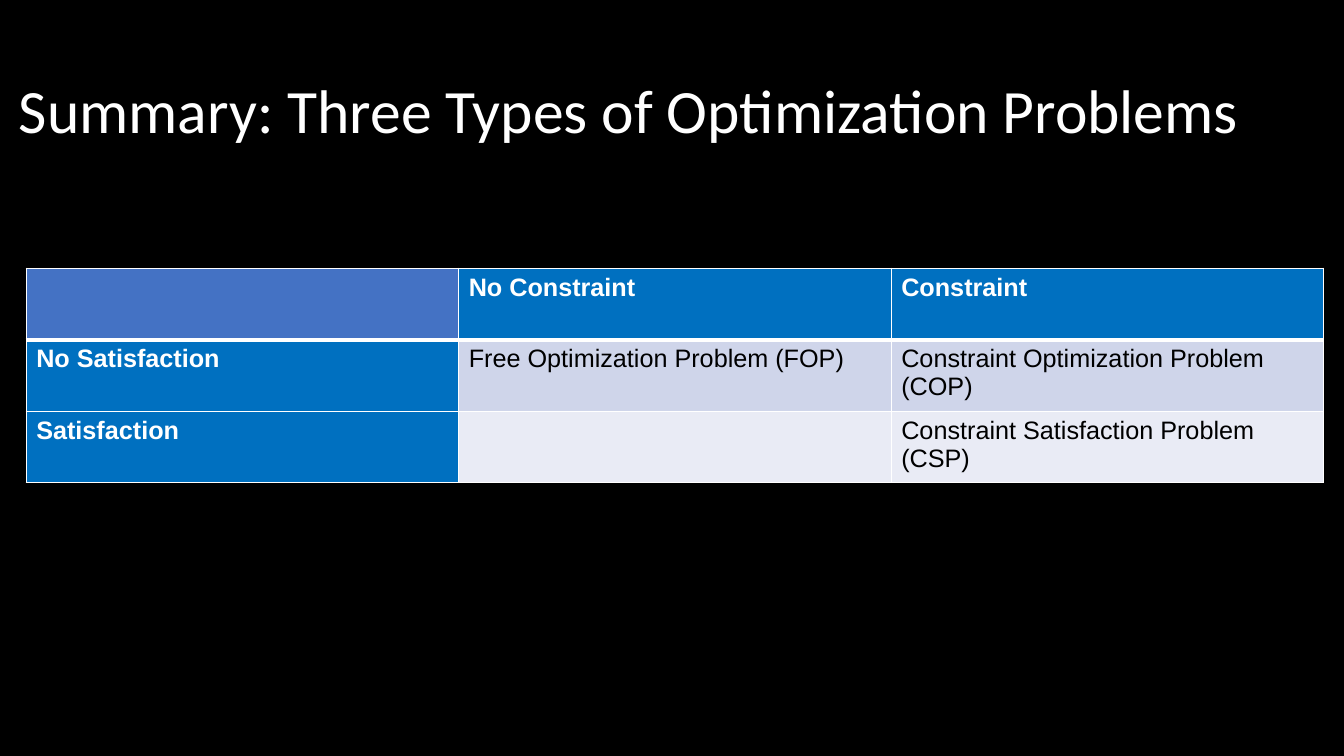
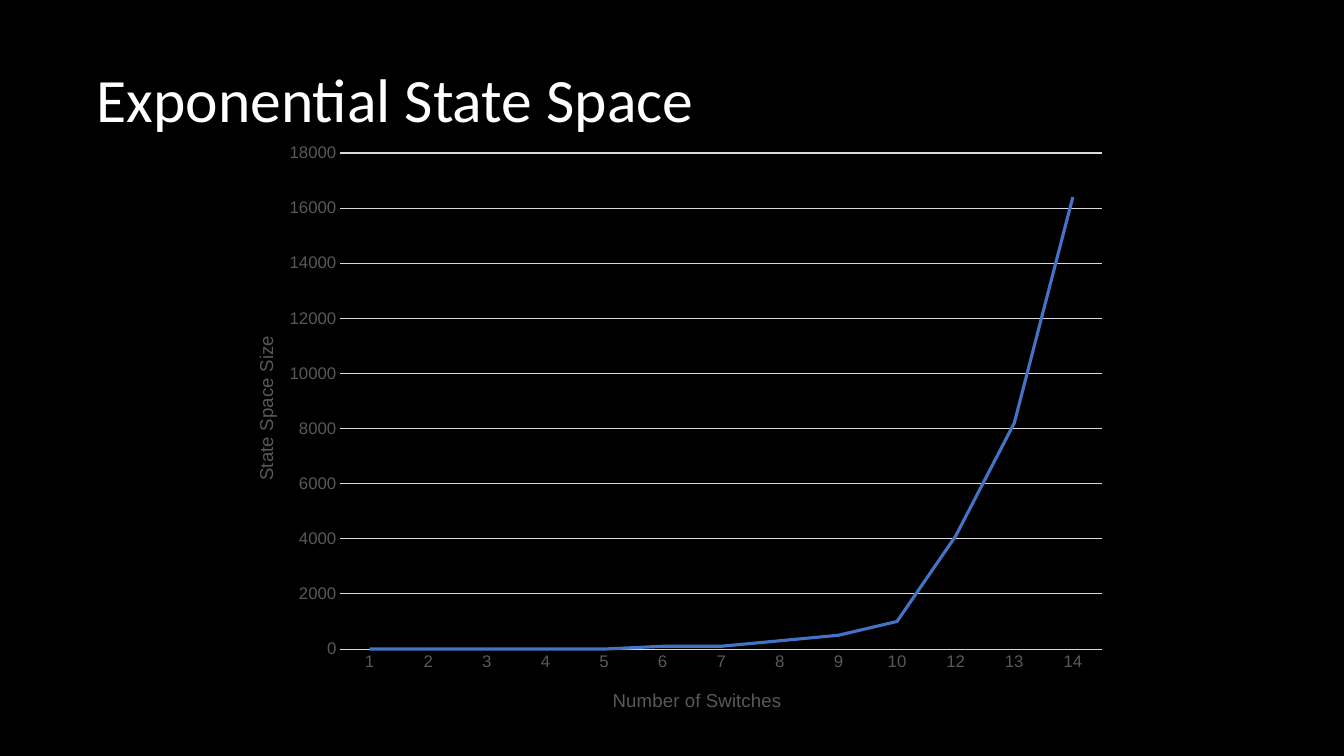
from lxml import etree
from pptx import Presentation
from pptx.chart.data import CategoryChartData
from pptx.dml.color import RGBColor
from pptx.enum.chart import XL_CHART_TYPE, XL_MARKER_STYLE, XL_TICK_MARK
from pptx.enum.text import MSO_ANCHOR
from pptx.oxml import parse_xml
from pptx.oxml.ns import nsdecls, qn
from pptx.util import Inches, Pt

LINE = XL_CHART_TYPE.LINE
NO_MARKER = XL_MARKER_STYLE.NONE
NO_TICK = XL_TICK_MARK.NONE
MIDDLE = MSO_ANCHOR.MIDDLE

COLORS = {
    "black": "000000",
    "white": "FFFFFF",
    "accent": "4472C4",
    "header": "0070C0",
    "band_dark": "CFD5EA",
    "band_light": "E9EBF5",
    "grid": "D9D9D9",
    "label": "595959",
}
TITLE_FONT, BODY_FONT = "Calibri", "Arial"

TABLE_ROWS = [
    ["", "No Constraint", "Constraint"],
    ["No Satisfaction", "Free Optimization Problem (FOP)",
     "Constraint Optimization Problem (COP)"],
    ["Satisfaction", "", "Constraint Satisfaction Problem (CSP)"],
]
SWITCHES = ["1", "2", "3", "4", "5", "6", "7", "8", "9", "10", "12", "13", "14"]
STATES = [0, 0, 0, 0, 0, 100, 100, 300, 500, 1000, 4100, 8200, 16400]


def rgb(name):
    return RGBColor.from_string(COLORS[name])


def set_font(font, size, color, name=BODY_FONT, bold=False):
    font.size, font.name, font.bold = Pt(size), name, bold
    font.color.rgb = rgb(color)


def set_line(line, color, width):
    line.color.rgb = rgb(color)
    line.width = Pt(width)


def add_titled_slide(prs, text, left, top, width):
    s = prs.slides.add_slide(prs.slide_layouts[6])
    box = s.shapes.add_textbox(Inches(left), Inches(top), Inches(width), Inches(1.45))
    tf = box.text_frame
    tf.word_wrap = True
    tf.vertical_anchor = MIDDLE
    p = tf.paragraphs[0]
    p.text = text
    p.line_spacing = 0.9
    set_font(p.font, 44, "white", TITLE_FONT)
    return s


# Table
def set_borders(cell, widths):
    """Draw white borders; widths are points for left, right, top, bottom."""
    tc_pr = cell._tc.get_or_add_tcPr()
    for i, (side, width) in enumerate(zip("LRTB", widths)):
        tc_pr.insert(i, parse_xml(
            f'<a:ln{side} {nsdecls("a")} w="{Pt(width)}"><a:solidFill>'
            f'<a:srgbClr val="{COLORS["white"]}"/></a:solidFill></a:ln{side}>'))


def cell_fill(row, col):
    if row == col == 0:
        return "accent"
    if row == 0 or col == 0:
        return "header"
    return "band_dark" if row % 2 else "band_light"


def add_matrix(s, rows, left, top, col_width, row_height):
    n_rows, n_cols = len(rows), len(rows[0])
    table = s.shapes.add_table(
        n_rows, n_cols, Inches(left), Inches(top),
        Inches(col_width * n_cols), Inches(row_height * n_rows)).table
    for r, texts in enumerate(rows):
        for c, text in enumerate(texts):
            cell = table.cell(r, c)
            heading = r == 0 or c == 0
            cell.fill.solid()
            cell.fill.fore_color.rgb = rgb(cell_fill(r, c))
            set_borders(cell, (1, 1, 3 if r == 1 else 1, 3 if r == 0 else 1))
            p = cell.text_frame.paragraphs[0]
            p.text = text
            set_font(p.font, 18, "white" if heading else "black", bold=heading)


# Chart
def place(element, index, **fractions):
    """Give a chart part a fixed place, in fractions of the chart."""
    for old in element.findall(qn("c:layout")):
        element.remove(old)
    layout = parse_xml(f'<c:layout {nsdecls("c")}><c:manualLayout/></c:layout>')
    settings = {"xMode": "edge", "yMode": "edge", **fractions}
    if "w" in fractions:
        settings = {"layoutTarget": "inner", **settings}
    for tag, value in settings.items():
        etree.SubElement(layout[0], qn(f"c:{tag}")).set("val", str(value))
    element.insert(index, layout)


def style_axis(axis, title, x, y, rotation):
    axis.major_tick_mark = axis.minor_tick_mark = NO_TICK
    set_font(axis.tick_labels.font, 12, "label")
    tf = axis.axis_title.text_frame
    p = tf.paragraphs[0]
    p.text = title
    set_font(p.font, 13.3, "label")
    element = axis.axis_title._element
    next(element.iter(qn("a:bodyPr"))).set("rot", str(rotation * 60000))
    place(element, 1, x=x, y=y)


def add_growth_chart(s, categories, values, left, top, width, height):
    data = CategoryChartData()
    data.categories = categories
    data.add_series("Series 1", values)
    chart = s.shapes.add_chart(LINE, Inches(left), Inches(top),
                               Inches(width), Inches(height), data).chart
    chart.has_legend = chart.has_title = False
    set_font(chart.font, 10, "black")

    plot = chart.plots[0]
    plot.vary_by_categories = False
    series = plot.series[0]
    series.smooth = False
    series.marker.style = NO_MARKER
    set_line(series.format.line, "accent", 2.25)

    style_axis(chart.category_axis, "Number of Switches", 0.43, 0.92, 0)
    set_line(chart.category_axis.format.line, "grid", 0.75)

    value_axis = chart.value_axis
    style_axis(value_axis, "State Space Size", 0.03, 0.33, -90)
    value_axis.minimum_scale, value_axis.maximum_scale = 0, 18000
    value_axis.major_unit = 2000
    value_axis.format.line.fill.background()
    set_line(value_axis.major_gridlines.format.line, "grid", 0.75)

    plot_area = next(chart._chartSpace.iter(qn("c:plotArea")))
    place(plot_area, 0, x=0.13, y=0.03, w=0.85, h=0.83)


def main():
    prs = Presentation()
    prs.slide_width, prs.slide_height = Inches(13.33), Inches(7.5)
    background = prs.slide_master.background.fill
    background.solid()
    background.fore_color.rgb = rgb("black")

    s = add_titled_slide(prs, "Summary: Three Types of Optimization Problems",
                         0.09, 0.4, 12.33)
    add_matrix(s, TABLE_ROWS, 0.26, 2.66, 4.29, 0.71)

    s = add_titled_slide(prs, "Exponential State Space", 0.86, 0.29, 11.5)
    add_growth_chart(s, SWITCHES, STATES, 2.22, 1.34, 8.89, 5.93)

    prs.save("out.pptx")


if __name__ == "__main__":
    main()
